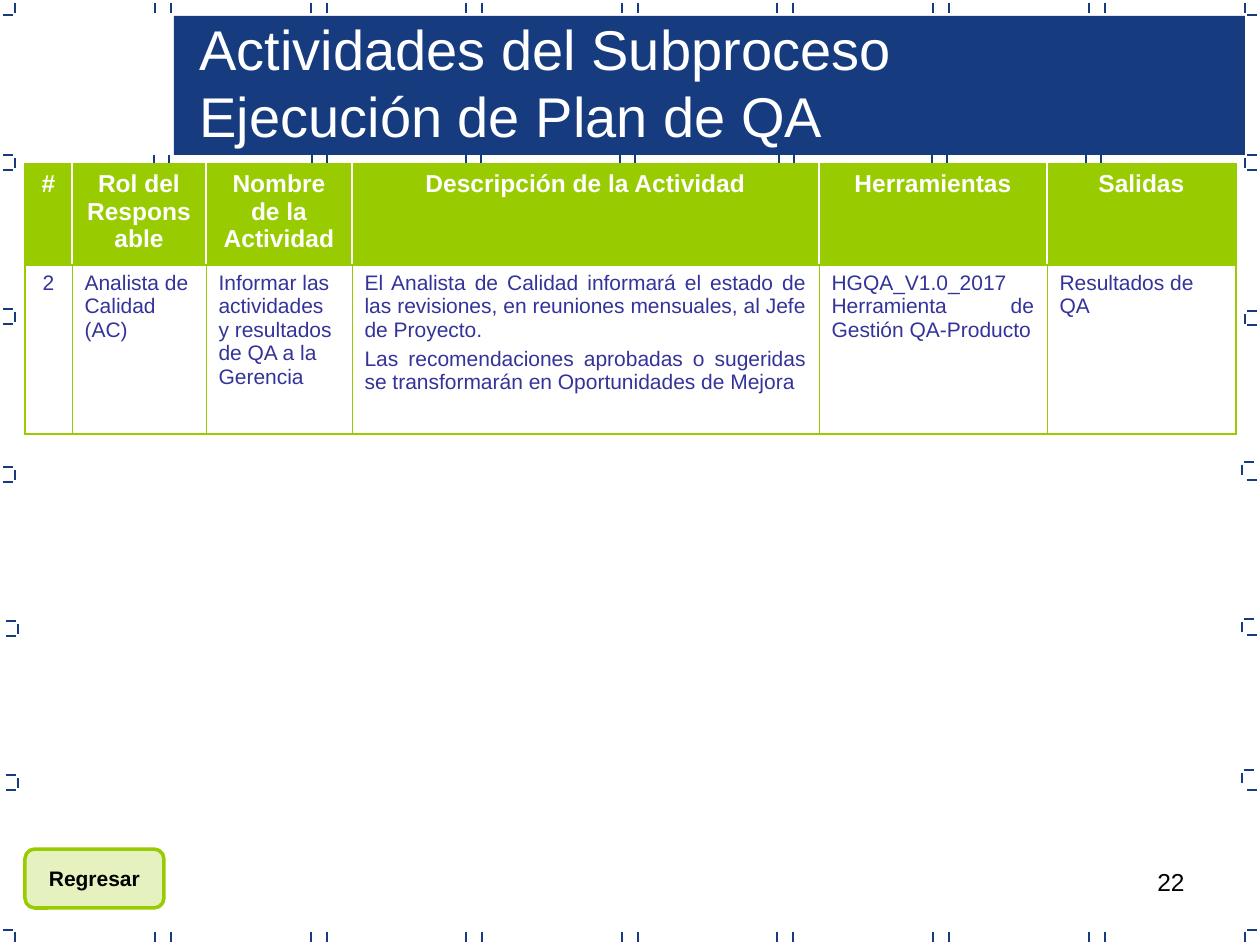
import lxml.etree
import pptx
import pptx.dml.color
import pptx.enum.shapes
import pptx.enum.text
import pptx.oxml
import pptx.oxml.ns
import pptx.util

PX = 914400 / 126  # EMU in one px
COLORS = {"navy": "163B7F", "green": "99CC00", "indigo": "333399",
          "white": "FFFFFF", "black": "000000"}
ALIGN = pptx.enum.text.PP_ALIGN
ANCHOR = pptx.enum.text.MSO_ANCHOR
SHAPE = pptx.enum.shapes.MSO_SHAPE
qn = pptx.oxml.ns.qn

HEADINGS = ["#", "Rol del Responsable", "Nombre de la Actividad",
            "Descripción de la Actividad", "Herramientas", "Salidas"]
ACTIVITY = [
    ("2", ALIGN.CENTER),
    ("Analista de Calidad (AC)", ALIGN.LEFT),
    ("Informar las actividades y resultados de QA a la Gerencia", ALIGN.LEFT),
    ("El Analista de Calidad informará el estado de las revisiones, en reuniones "
     "mensuales, al Jefe de Proyecto.\n"
     "Las recomendaciones aprobadas o sugeridas se transformarán en Oportunidades "
     "de Mejora", ALIGN.JUSTIFY),
    ("HGQA_V1.0_2017 Herramienta de Gestión QA-Producto", ALIGN.JUSTIFY),
    ("Resultados de QA", ALIGN.LEFT),
]
COLUMN_WIDTHS = [47, 134, 146, 467, 228, 189]
ROW_HEIGHTS = [101, 169]


def px(*lengths):
    return [pptx.util.Emu(round(length * PX)) for length in lengths]


def rgb(name):
    return pptx.dml.color.RGBColor.from_string(COLORS[name])


def write(frame, text, size, color, align, bold=False, space_before=0):
    frame.text = text
    for index, paragraph in enumerate(frame.paragraphs):
        paragraph.alignment = align
        paragraph.space_before = pptx.util.Pt(space_before if index else 0)
        for run in paragraph.runs:
            run.font.name = "Arial"
            run.font.size = pptx.util.Pt(size)
            run.font.bold = bold
            run.font.color.rgb = rgb(color)


def tick(slide, x1, y1, x2, y2):
    line = slide.shapes.add_connector(
        pptx.enum.shapes.MSO_CONNECTOR.STRAIGHT, *px(x1, y1, x2, y2))
    line.line.color.rgb = rgb("navy")
    line.line.width = pptx.util.Pt(0.75)
    lxml.etree.SubElement(line.element.spPr, qn("a:effectLst"))


def frame_marks(slide, left, top, width, height):
    right, bottom = left + width, top + height

    # Pairs of ticks along the top and bottom edges
    for column in range(7):
        first = left + round(155 + 155.6 * column)
        for x in (first, first + 16):
            tick(slide, x, top + 3, x, top + 13)
            tick(slide, x, bottom - 13, x, bottom - 3)

    # Corners
    for x, outer in ((left + 15, left + 3), (right - 15, right - 13)):
        for start, level in ((top + 3, top + 15), (bottom - 13, bottom - 15)):
            tick(slide, x, start, x, start + 10)
            tick(slide, outer, level, outer + 10, level)

    # Brackets on the left edge
    for y, shift in ((155, 0), (309, 0), (467, 0), (621, 3), (775, 3)):
        x, y = left + shift, top + y
        tick(slide, x + 15, y + 3, x + 15, y + 13)
        for level in (y, y + 15):
            tick(slide, x + 3, level, x + 13, level)

    # Brackets on the right edge
    for upper, lower, shift in ((155, 170, 0), (311, 325, 0), (462, 480, 3),
                                (619, 635, 3), (770, 790, 3)):
        x, y = right - shift, top + upper
        tick(slide, x - 15, y + 3, x - 15, y + 13)
        tick(slide, x - 13, y, x - 3, y)
        tick(slide, right - 13, top + lower, right - 3, top + lower)


def title_band(slide, left, top, width, height):
    band = slide.shapes.add_shape(SHAPE.RECTANGLE, *px(left, top, width, height))
    band.shadow.inherit = False
    band.fill.solid()
    band.fill.fore_color.rgb = rgb("navy")
    band.line.fill.background()

    # Ticks hanging below the band
    for offset in (-20, 138, 292, 446, 605, 758, 912):
        for x in (left + offset, left + offset + 15):
            tick(slide, x, top + height, x, top + height + 10)

    title = slide.shapes.title
    title.left, title.top, title.width, title.height = px(
        left + 13, top - 8, width - 23, height + 8)
    title.text_frame.auto_size = pptx.enum.text.MSO_AUTO_SIZE.NONE
    title.text_frame.vertical_anchor = ANCHOR.TOP
    write(title.text_frame, "Actividades del Subproceso\nEjecución de Plan de QA",
          32, "white", ALIGN.LEFT)
    slide.shapes.element.append(title.element)  # bring in front of the band


def set_borders(cell, **borders):
    properties = cell._tc.get_or_add_tcPr()
    for index, side in enumerate("LRTB"):
        color, points = borders[side]
        properties.insert(index, pptx.oxml.parse_xml(
            f'<a:ln{side} {pptx.oxml.ns.nsdecls("a")} w="{round(points * 12700)}">'
            f'<a:solidFill><a:srgbClr val="{COLORS[color]}"/></a:solidFill>'
            f'</a:ln{side}>'))


def activity_table(slide, left, top, width, height):
    table = slide.shapes.add_table(
        2, len(HEADINGS), *px(left, top, width, height)).table
    table.horz_banding = False
    for column, column_width in zip(table.columns, px(*COLUMN_WIDTHS)):
        column.width = column_width
    for row, row_height in zip(table.rows, px(*ROW_HEIGHTS)):
        row.height = row_height

    outer, middle = ("green", 1.08), ("green", 0.75)
    last = len(HEADINGS) - 1
    for index, (heading, (text, align)) in enumerate(zip(HEADINGS, ACTIVITY)):
        head, body = table.cell(0, index), table.cell(1, index)
        head.fill.solid()
        head.fill.fore_color.rgb = rgb("green")
        body.fill.background()
        write(head.text_frame, heading, 14, "white", ALIGN.CENTER, bold=True)
        write(body.text_frame, text, 12, "indigo", align, space_before=3)
        for cell, inner, above, below in ((head, ("white", 0.75), outer, middle),
                                          (body, ("green", 0.45), middle, outer)):
            set_borders(cell, L=inner if index else outer,
                        R=inner if index < last else outer, T=above, B=below)


def return_button(slide, left, top, width, height):
    button = slide.shapes.add_shape(
        SHAPE.FLOWCHART_ALTERNATE_PROCESS, *px(left, top, width, height))
    button.shadow.inherit = False
    button.fill.solid()
    button.fill.fore_color.rgb = rgb("green")
    fill_color = button.element.spPr.find(qn("a:solidFill"))[0]
    lxml.etree.SubElement(fill_color, qn("a:alpha"), val="25000")
    button.line.color.rgb = rgb("green")
    button.line.width = pptx.util.Pt(2)
    button.text_frame.word_wrap = False
    button.text_frame.vertical_anchor = ANCHOR.MIDDLE
    write(button.text_frame, "Regresar", 12, "black", ALIGN.CENTER, bold=True)


def page_number(slide, left, top, width, height):
    number = slide.shapes.add_textbox(*px(left, top, width, height))
    number.text_frame.word_wrap = True
    write(number.text_frame, "22", 14, "black", ALIGN.RIGHT)


def main():
    deck = pptx.Presentation()
    deck.slide_width, deck.slide_height = px(1260, 945)
    slide = deck.slides.add_slide(deck.slide_layouts[5])  # Title Only
    frame_marks(slide, 0, 0, 1260, 945)
    title_band(slide, 174, 16, 1071, 139)
    activity_table(slide, 25, 164, sum(COLUMN_WIDTHS), sum(ROW_HEIGHTS))
    return_button(slide, 25, 849, 139, 59)
    page_number(slide, 903, 861, 294, 66)
    deck.save("out.pptx")


if __name__ == "__main__":
    main()
